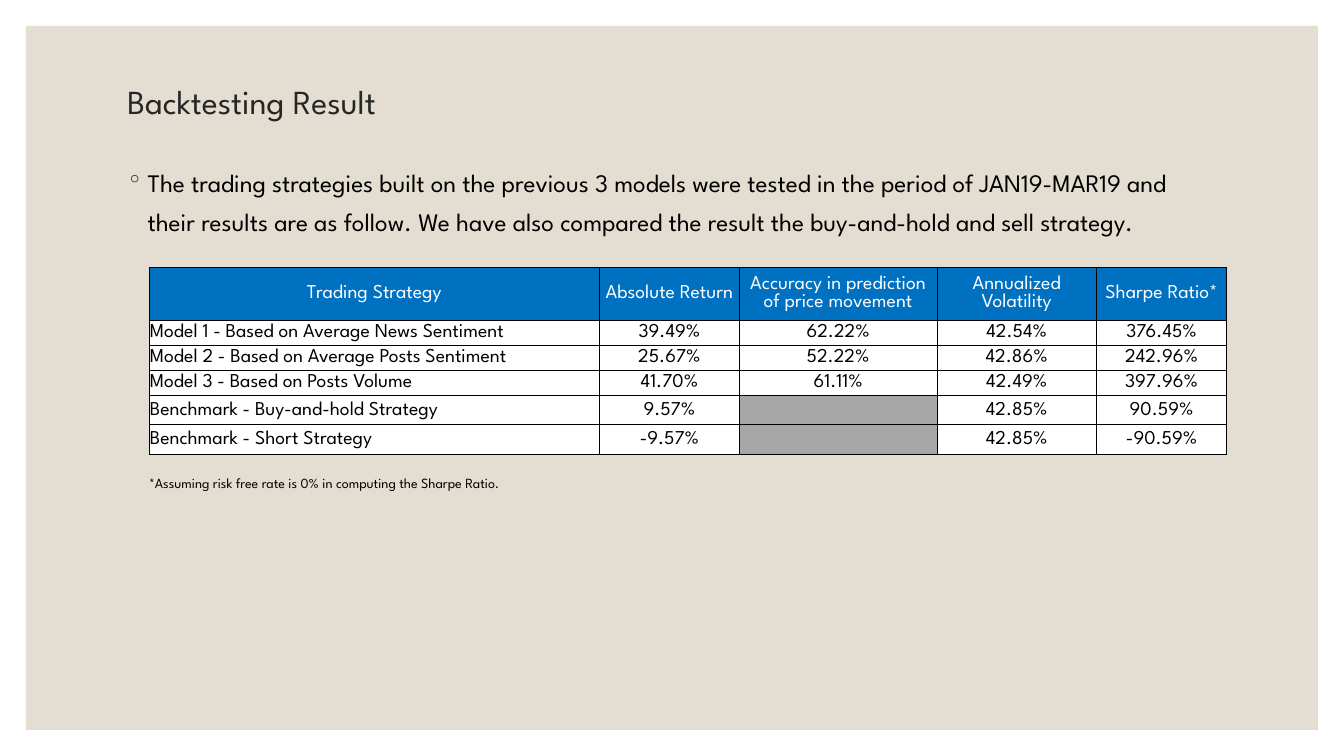
from pptx import Presentation
from pptx.dml.color import RGBColor
from pptx.enum.shapes import MSO_SHAPE
from pptx.enum.text import MSO_ANCHOR, PP_ALIGN
from pptx.oxml import parse_xml
from pptx.oxml.ns import nsdecls
from pptx.util import Pt

RECT = MSO_SHAPE.RECTANGLE
TOP, MIDDLE = MSO_ANCHOR.TOP, MSO_ANCHOR.MIDDLE
LEFT, CENTER = PP_ALIGN.LEFT, PP_ALIGN.CENTER

FACE = "League Spartan"
TITLE = "Backtesting Result"
INTRO = (
    "The trading strategies built on the previous 3 models were tested in the "
    "period of JAN19-MAR19 and their results are as follow. We have also "
    "compared the result the buy-and-hold and sell strategy."
)
NOTE = "*Assuming risk free rate is 0% in computing the Sharpe Ratio."
ROWS = [
    ("Trading Strategy", "Absolute Return", "Accuracy in prediction of price movement",
     "Annualized Volatility", "Sharpe Ratio*"),
    ("Model 1 - Based on Average News Sentiment", "39.49%", "62.22%", "42.54%", "376.45%"),
    ("Model 2 - Based on Average Posts Sentiment", "25.67%", "52.22%", "42.86%", "242.96%"),
    ("Model 3 - Based on Posts Volume", "41.70%", "61.11%", "42.49%", "397.96%"),
    ("Benchmark - Buy-and-hold Strategy", "9.57%", "", "42.85%", "90.59%"),
    ("Benchmark - Short Strategy", "-9.57%", "", "42.85%", "-90.59%"),
]
WIDTHS = [321.6, 100, 141, 114.2, 92.8]
HEIGHTS = [37.8, 17.9, 17.9, 17.9, 21.2, 21.2]

WIDE, HIGH, EDGE = 960, 540, 18.6


def tint(code):
    return RGBColor.from_string(code)


def style(para, size, color):
    para.font.name = FACE
    para.font.size = Pt(size)
    para.font.color.rgb = tint(color)


def write(slide, text, box, size, color, space, anchor=TOP):
    frame = slide.shapes.add_textbox(*map(Pt, box)).text_frame
    frame.word_wrap = True
    frame.vertical_anchor = anchor
    para = frame.paragraphs[0]
    para.text = text
    para.line_spacing = space
    style(para, size, color)
    return para


def bullet(para, mark, color, indent):
    props = para._p.get_or_add_pPr()
    props.set("marL", str(Pt(indent)))
    props.set("indent", str(-Pt(indent)))
    tags = (
        f'<a:buClr {nsdecls("a")}><a:srgbClr val="{color}"/></a:buClr>',
        f'<a:buFont {nsdecls("a")} typeface="{FACE}"/>',
        f'<a:buChar {nsdecls("a")} char="{mark}"/>',
    )
    for tag in tags:
        props.insert_element_before(parse_xml(tag), "a:tabLst", "a:defRPr", "a:extLst")


def border(cell, color, width):
    props = cell._tc.get_or_add_tcPr()
    for spot, side in enumerate(("lnL", "lnR", "lnT", "lnB")):
        props.insert(spot, parse_xml(
            f'<a:{side} {nsdecls("a")} w="{Pt(width)}"><a:solidFill>'
            f'<a:srgbClr val="{color}"/></a:solidFill></a:{side}>'))


def fill_cell(cell, text, head, first):
    cell.margin_left = cell.margin_right = cell.margin_top = Pt(0.5)
    cell.margin_bottom = Pt(0)
    cell.vertical_anchor = MIDDLE
    cell.fill.solid()
    cell.fill.fore_color.rgb = tint("0070C0" if head else "FFFFFF" if text else "A6A6A6")
    border(cell, "000000", 0.5)
    para = cell.text_frame.paragraphs[0]
    para.text = text
    para.alignment = LEFT if first and not head else CENTER
    style(para, 14, "FFFFFF" if head else "000000")


def add_grid(slide, left, top):
    size = map(Pt, (left, top, sum(WIDTHS), sum(HEIGHTS)))
    grid = slide.shapes.add_table(len(ROWS), len(WIDTHS), *size).table
    for col, width in zip(grid.columns, WIDTHS):
        col.width = Pt(width)
    for r, (row, height) in enumerate(zip(ROWS, HEIGHTS)):
        grid.rows[r].height = Pt(height)
        for c, text in enumerate(row):
            fill_cell(grid.cell(r, c), text, r == 0, c == 0)


def main():
    deck = Presentation()
    deck.slide_width, deck.slide_height = Pt(WIDE), Pt(HIGH)
    slide = deck.slides.add_slide(deck.slide_layouts[6])

    panel = slide.shapes.add_shape(
        RECT, Pt(EDGE), Pt(EDGE), Pt(WIDE - 2 * EDGE), Pt(HIGH - 2 * EDGE))
    panel.shadow.inherit = False
    panel.fill.solid()
    panel.fill.fore_color.rgb = tint("E3DED1")
    panel.line.fill.background()

    write(slide, TITLE, (84, 50.4, 792, 47.5), 24, "262626", 0.9, MIDDLE)
    intro = write(slide, INTRO, (84, 109.4, 792, 365.8), 18, "000000", 1.3)
    bullet(intro, "◦", "262626", 14.4)
    add_grid(slide, 106.6, 190.8)
    write(slide, NOTE, (99.4, 332, 792, 33), 10, "000000", 1.3)
    deck.save("out.pptx")


if __name__ == "__main__":
    main()
